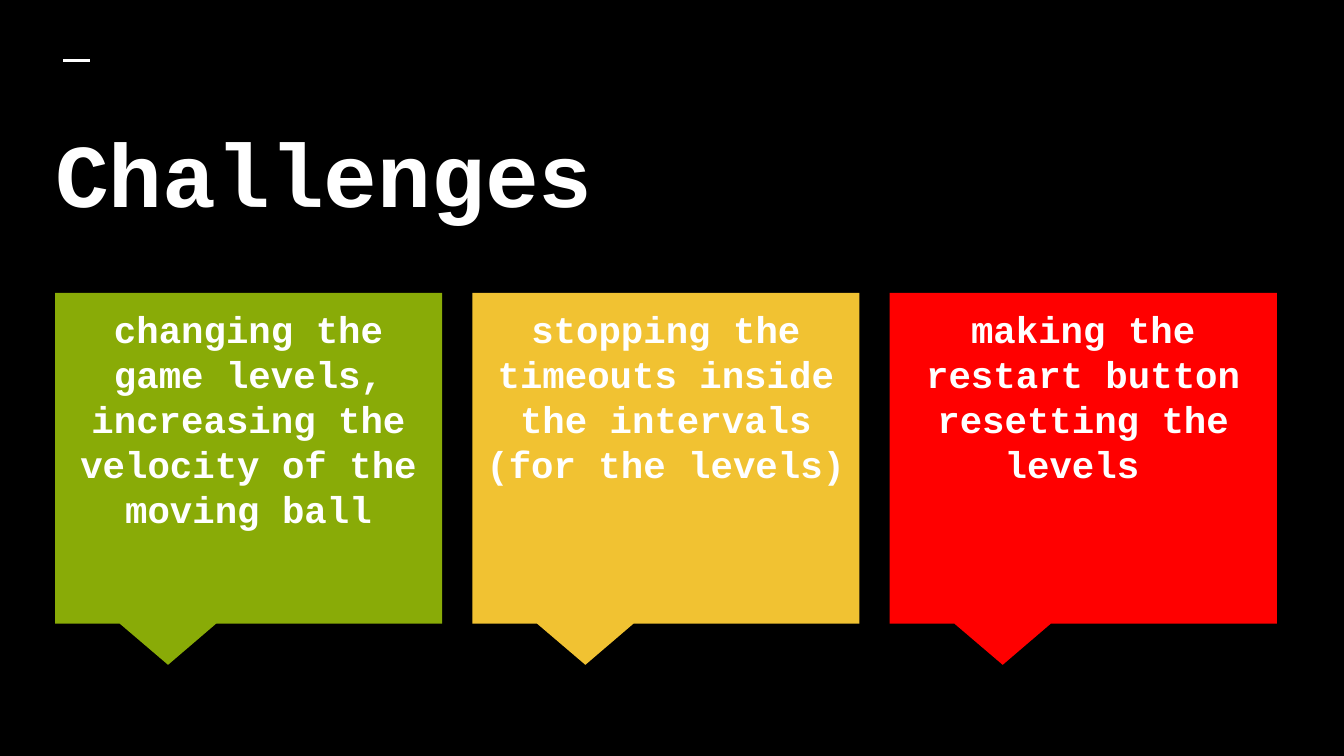
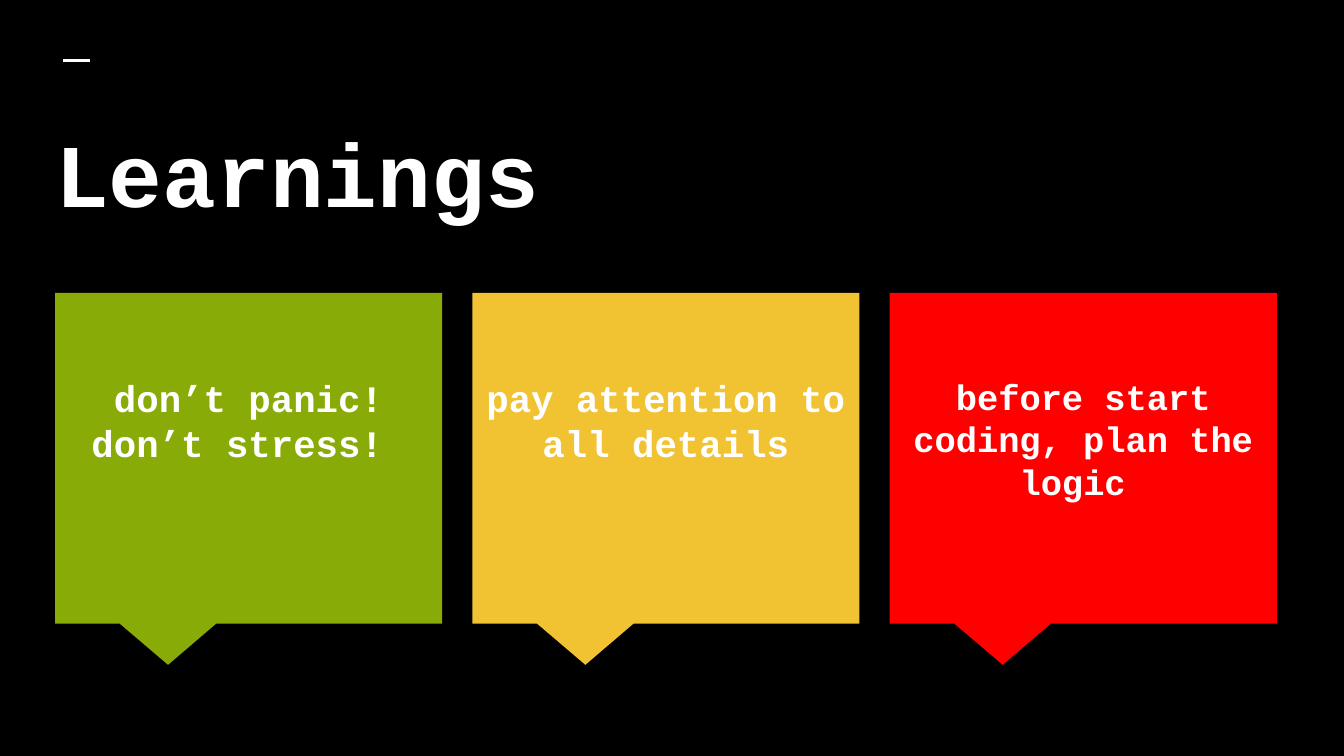
from dataclasses import dataclass

from lxml.etree import SubElement
from pptx import Presentation
from pptx.dml.color import RGBColor
from pptx.enum.shapes import MSO_CONNECTOR as Connector, MSO_SHAPE as Preset
from pptx.enum.text import MSO_ANCHOR as Anchor, MSO_AUTO_SIZE as AutoSize, PP_ALIGN as Align
from pptx.oxml.ns import qn
from pptx.util import Inches, Pt


@dataclass(frozen=True)
class Theme:
    """Colours, type sizes and spacing shared by the slides."""
    back: str = "000000"
    ink: str = "FFFFFF"
    cards: tuple = ("89AB07", "F1C232", "FF0000")
    font: str = "Courier New"
    title_size: int = 48
    card_size: int = 20
    small_size: int = 19
    inset: float = 0.1
    lowered_inset: float = 0.61


@dataclass(frozen=True)
class Box:
    """A rectangle in inches."""
    left: float
    top: float
    width: float
    height: float

    def column(self, index, count, width):
        """Return one of several evenly spread columns of the given width."""
        step = (self.width - width) / (count - 1)
        return Box(self.left + index * step, self.top, width, self.height)

    def upper(self, share):
        """Return the upper share of the box."""
        return Box(self.left, self.top, self.width, self.height * share)

    def lengths(self):
        """Return left, top, width and height for python-pptx."""
        return [Inches(value) for value in (self.left, self.top, self.width, self.height)]


THEME = Theme()
WIDTH = 10
HEIGHT = WIDTH * 9 / 16
DASH = Box(0.47, 0.45, 0.2, 0)
TITLE = Box(0.31, 0.78, 9.43, 1.12)
CARDS = Box(0.41, 2.18, 9.09, 2.46)
CARD_WIDTH = 2.88
TEXT_SHARE = 0.89
POINTER = (-0.208, 0.625)

SLIDES = (
    ("Challenges", THEME.inset, (
        ("changing the game levels, increasing the velocity of the moving ball", THEME.card_size),
        ("stopping the timeouts inside the intervals (for the levels)", THEME.card_size),
        ("making the restart button resetting the levels ", THEME.card_size),
    )),
    ("Learnings", THEME.lowered_inset, (
        ("don’t panic!\vdon’t stress! ", THEME.card_size),
        ("pay attention to all details", THEME.card_size),
        ("before start coding, plan the logic ", THEME.small_size),
    )),
)


def colour(code):
    """Turn a hex code into a colour."""
    return RGBColor.from_string(code)


def write(shape, text, *, size, align=Align.LEFT, top=THEME.inset, space=0):
    """Fill a shape with one formatted paragraph."""
    frame = shape.text_frame
    frame.word_wrap = True
    frame.auto_size = AutoSize.NONE
    frame.vertical_anchor = Anchor.TOP
    frame.margin_left = frame.margin_right = frame.margin_bottom = Inches(THEME.inset)
    frame.margin_top = Inches(top)
    para = frame.paragraphs[0]
    para.text = text
    para.alignment = align
    para.space_before = para.space_after = Pt(space)
    for span in para.runs:
        span.font.name = THEME.font
        span.font.size = Pt(size)
        span.font.bold = True
        span.font.color.rgb = colour(THEME.ink)


def add_dash(page, box):
    """Draw the short rule above the title."""
    left, top, width, height = box.lengths()
    line = page.shapes.add_connector(Connector.STRAIGHT, left, top, left + width, top + height)
    line.line.color.rgb = colour(THEME.ink)
    line.line.width = Pt(1.5)
    SubElement(line._element.spPr, qn("a:effectLst"))


def add_title(page, box, text):
    """Place and fill the title placeholder."""
    title = page.shapes.title
    title.left, title.top, title.width, title.height = box.lengths()
    write(title, text, size=THEME.title_size)


def add_callout(page, box, fill):
    """Draw a plain callout with its pointer below."""
    callout = page.shapes.add_shape(Preset.RECTANGULAR_CALLOUT, *box.lengths())
    callout.adjustments[0], callout.adjustments[1] = POINTER
    callout.shadow.inherit = False
    callout.fill.solid()
    callout.fill.fore_color.rgb = colour(fill)
    callout.line.fill.background()


def add_cards(page, box, cards, top):
    """Lay out the coloured callouts, then their texts."""
    columns = [box.column(index, len(cards), CARD_WIDTH) for index in range(len(cards))]
    for column, fill in zip(columns, THEME.cards):
        add_callout(page, column, fill)
    for column, (text, size) in zip(columns, cards):
        label = page.shapes.add_textbox(*column.upper(TEXT_SHARE).lengths())
        write(label, text, size=size, align=Align.CENTER, top=top, space=12)


def add_card_slide(deck, title, top, cards):
    """Build a slide with a title and a row of callouts."""
    page = deck.slides.add_slide(deck.slide_layouts.get_by_name("Title Only"))
    add_dash(page, DASH)
    add_title(page, TITLE, title)
    add_cards(page, CARDS, cards, top)


def main():
    """Build and save the deck."""
    deck = Presentation()
    deck.slide_width, deck.slide_height = Inches(WIDTH), Inches(HEIGHT)
    back = deck.slide_master.background.fill
    back.solid()
    back.fore_color.rgb = colour(THEME.back)
    for title, top, cards in SLIDES:
        add_card_slide(deck, title, top, cards)
    deck.save("out.pptx")


if __name__ == "__main__":
    main()
